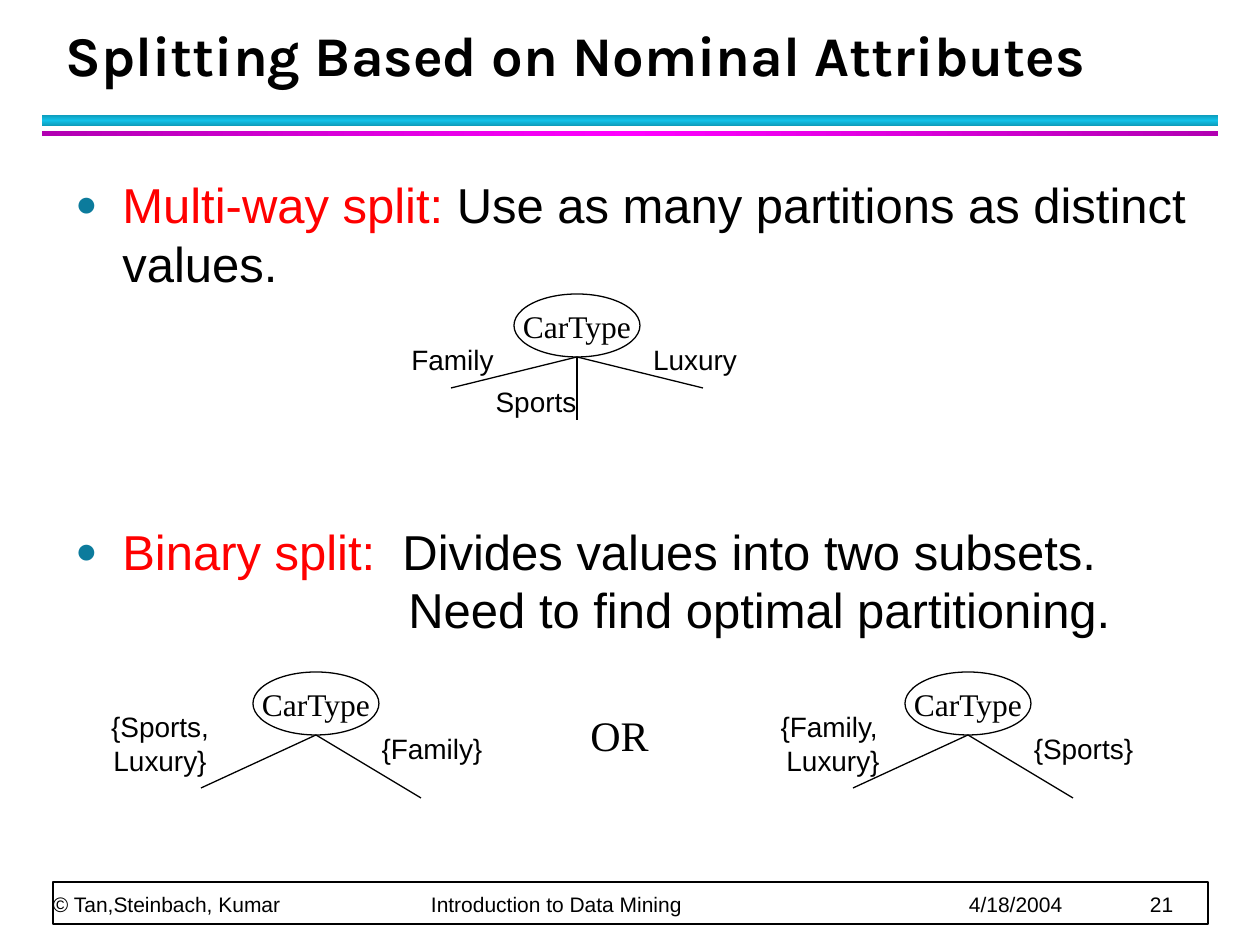
"""Build the slide on splitting by nominal attributes."""
from copy import deepcopy
from lxml.etree import SubElement
from pptx import Presentation
from pptx.dml.color import RGBColor
from pptx.enum.shapes import MSO_CONNECTOR, MSO_SHAPE
from pptx.enum.text import MSO_ANCHOR, PP_ALIGN
from pptx.oxml.ns import qn
from pptx.util import Pt

PX = 914400 / 126
HUES = {
    "black": "000000", "white": "FFFFFF", "red": "FF0000", "dot": "0C7B9C",
    "teal": "0E9BBA", "aqua": "12C2E9", "plum": "B200B2", "pink": "FF00FF",
}
INK = {name: RGBColor.from_string(code) for name, code in HUES.items()}


def scale(*nums):
    return [round(num * PX) for num in nums]


def write(shape, text, size, face="Arial", align=PP_ALIGN.CENTER, wrap=False):
    frame = shape.text_frame
    frame.text = text
    frame.word_wrap = wrap
    frame.vertical_anchor = MSO_ANCHOR.MIDDLE
    if not wrap:
        frame.margin_left = frame.margin_right = 0
    for para in frame.paragraphs:
        para.alignment = align
        for run in para.runs:
            run.font.size = Pt(size)
            run.font.name = face
            run.font.color.rgb = INK["black"]
    return frame


deck = Presentation()
deck.slide_width, deck.slide_height = scale(1260, 945)
slide = deck.slides.add_slide(deck.slide_layouts[6])
shapes = slide.shapes

bars = [(115, 11, 90, "teal", "aqua"), (131, 5, 0, "plum", "pink")]
for top, high, angle, edge, core in bars:
    bar = shapes.add_shape(MSO_SHAPE.RECTANGLE, *scale(42, top, 1176, high))
    bar.shadow.inherit = False
    bar.line.fill.background()
    bar.fill.gradient()
    bar.fill.gradient_angle = angle
    stops = bar._element.xpath(".//a:gsLst")[0]
    stops.append(deepcopy(stops[0]))
    for stop, spot, hue in zip(bar.fill.gradient_stops, (0, 0.5, 1), (edge, core, edge)):
        stop.position = spot
        stop.color.rgb = INK[hue]

strip = shapes.add_shape(MSO_SHAPE.RECTANGLE, *scale(53, 882, 1155, 42))
strip.shadow.inherit = False
strip.fill.solid()
strip.fill.fore_color.rgb = INK["white"]
strip.line.color.rgb = INK["black"]
strip.line.width = Pt(1)

foot = shapes.add_textbox(*scale(53, 846, 1153, 71))
words = "© Tan,Steinbach, Kumar\tIntroduction to Data Mining\t4/18/2004\t21"
frame = write(foot, words, 12, align=PP_ALIGN.LEFT, wrap=True)
frame.margin_left = frame.margin_right = frame.margin_top = frame.margin_bottom = 0
frame.vertical_anchor = MSO_ANCHOR.BOTTOM
para = frame.paragraphs[0]
tabs = SubElement(para._p.get_or_add_pPr(), qn("a:tabLst"))
for spot in scale(378, 916, 1097):
    SubElement(tabs, qn("a:tab"), pos=str(spot), algn="l")
para.line_spacing = Pt(20)

title = shapes.add_textbox(*scale(53, 21, 1187, 73))
frame = write(title, "Splitting Based on Nominal Attributes", 32, "Karla", PP_ALIGN.LEFT, True)
frame.vertical_anchor = MSO_ANCHOR.BOTTOM
frame.paragraphs[0].line_spacing = Pt(36)
frame.paragraphs[0].runs[0].font.bold = True

body = shapes.add_textbox(*scale(63, 168, 1155, 514))
frame = body.text_frame
frame.word_wrap = True
points = [
    ("Multi-way split:", " Use as many partitions as distinct values.", 47, 0, 4),
    ("Binary split:", "  Divides values into two subsets.", 47, 127, 0),
    ("", "Need to find optimal partitioning.", 333, 0, 4),
]
for row, (lead, rest, left, before, after) in enumerate(points):
    para = frame.add_paragraph() if row else frame.paragraphs[0]
    props = para._p.get_or_add_pPr()
    props.set("marL", str(round(left * PX)))
    if lead:
        props.set("indent", str(round(-left * PX)))
        color = SubElement(props, qn("a:buClr"))
        SubElement(color, qn("a:srgbClr"), val=HUES["dot"])
        SubElement(props, qn("a:buSzPct"), val="75000")
        SubElement(props, qn("a:buFont"), typeface="Arial")
        SubElement(props, qn("a:buChar"), char="●")
    para.space_before, para.space_after = Pt(before), Pt(after)
    for text, hue in ((lead, "red"), (rest, "black")):
        if text:
            run = para.add_run()
            run.text = text
            run.font.size = Pt(28)
            run.font.name = "Arial"
            run.font.color.rgb = INK[hue]

fork = [(-115, 53), (105, 63)]
trees = [
    (514, 294, [(-126, 31), (0, 63), (126, 31)]),
    (905, 672, fork),
    (253, 672, fork),
]
for left, top, ends in trees:
    node = shapes.add_shape(MSO_SHAPE.OVAL, *scale(left, top, 126, 63))
    node.shadow.inherit = False
    node.fill.solid()
    node.fill.fore_color.rgb = INK["white"]
    node.line.color.rgb = INK["black"]
    node.line.width = Pt(0.75)
    write(node, "CarType", 18, "Times New Roman")
    mid, base = left + 63, top + 63
    for across, down in ends:
        branch = shapes.add_connector(
            MSO_CONNECTOR.STRAIGHT, *scale(mid, base, mid + across, base + down))
        branch.line.color.rgb = INK["black"]
        branch.line.width = Pt(0.75)
        SubElement(branch._element.spPr, qn("a:effectLst"))

labels = [
    ("Family", 399, 336, 107, 47),
    ("Sports", 483, 378, 106, 47),
    ("Luxury", 641, 336, 108, 47),
    ("{Family, \vLuxury}", 767, 703, 132, 81),
    ("{Sports}", 1021, 725, 125, 47),
    ("{Sports,\vLuxury}", 95, 703, 130, 81),
    ("{Family}", 369, 725, 126, 47),
]
for text, *place in labels:
    write(shapes.add_textbox(*scale(*place)), text, 16)
write(shapes.add_textbox(*scale(578, 703, 83, 63)), "OR", 24, "Times New Roman")

deck.save("out.pptx")
